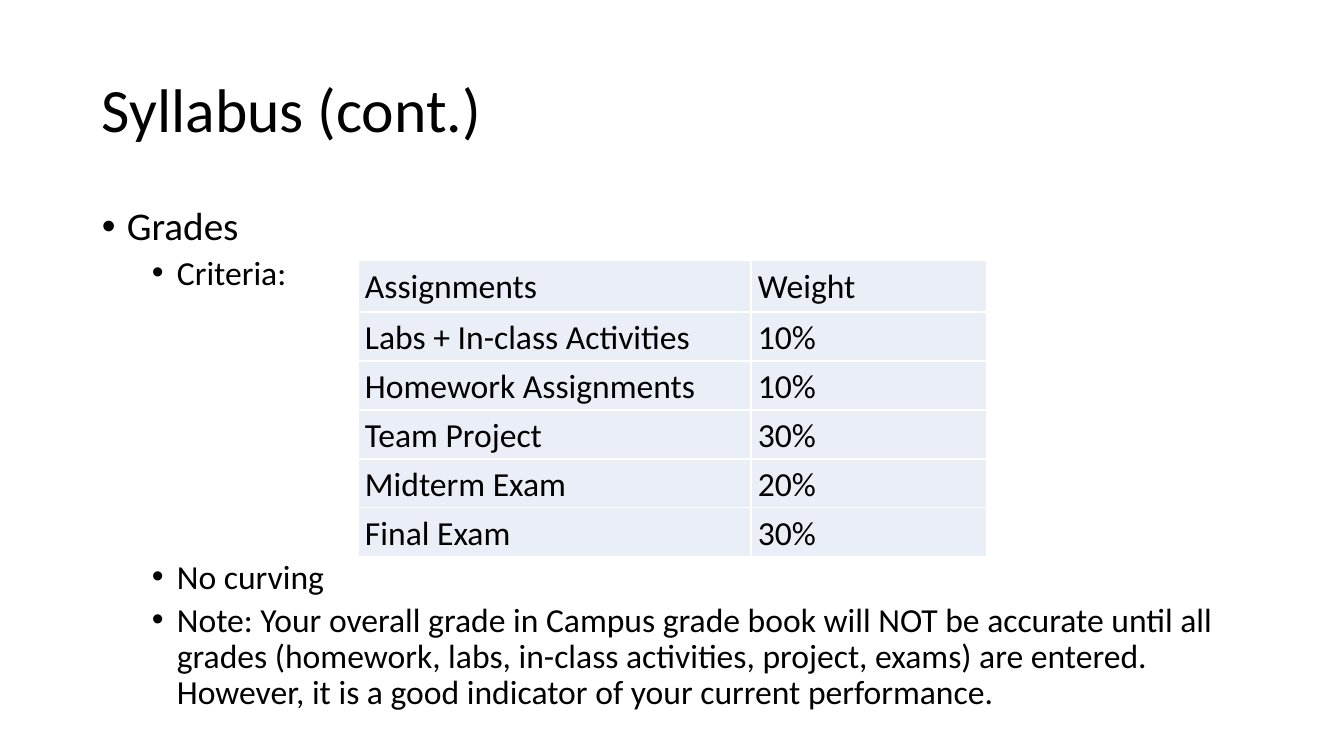
from dataclasses import dataclass

from lxml import etree
from pptx import Presentation
from pptx.dml.color import RGBColor
from pptx.enum.text import MSO_ANCHOR
from pptx.oxml.ns import qn
from pptx.util import Emu, Pt

EMU_PER_PX = 12192000 / 1344
BLACK = RGBColor(0x00, 0x00, 0x00)
WHITE = RGBColor(0xFF, 0xFF, 0xFF)
PALE_BLUE = RGBColor(0xEA, 0xEF, 0xF7)
FONT = "Calibri"
BULLET_FONT = "Arial"
MIDDLE, TOP = MSO_ANCHOR.MIDDLE, MSO_ANCHOR.TOP
BLANK_LAYOUT = 6

MARGIN = 92
CONTENT_WIDTH = 1159
BULLET_HANG = 25
LEVEL_INDENT = 50
COLUMN_WIDTHS = (393, 236)
HEADER_HEIGHT, ROW_HEIGHT = 52, 49
CELL_INSET = 7


@dataclass(frozen=True)
class Bullet:
    text: str
    level: int = 1
    size: int = 24
    space_before: int = 5


BULLETS = (
    Bullet("Grades", level=0, size=28, space_before=0),
    Bullet("Criteria:"),
    Bullet("No curving", space_before=191),  # leaves room for the table
    Bullet(
        "Note: Your overall grade in Campus grade book will NOT be accurate until all "
        "grades (homework, labs, in-class activities, project, exams) are entered. "
        "However, it is a good indicator of your current performance."
    ),
)

GRADE_WEIGHTS = (
    ("Assignments", "Weight"),
    ("Labs + In-class Activities", "10%"),
    ("Homework Assignments", "10%"),
    ("Team Project", "30%"),
    ("Midterm Exam", "20%"),
    ("Final Exam", "30%"),
)


def px(length: int) -> Emu:
    return Emu(round(length * EMU_PER_PX))


def add_bullet(para, level: int) -> None:
    properties = para._p.get_or_add_pPr()
    properties.set("marL", str(px(BULLET_HANG + level * LEVEL_INDENT)))
    properties.set("indent", str(-px(BULLET_HANG)))
    etree.SubElement(properties, qn("a:buFont"), typeface=BULLET_FONT)
    etree.SubElement(properties, qn("a:buChar"), char="•")
    para.level = level


def write(para, text: str, *, size: int, line_spacing: float = 0.9, space_before: int = 0) -> None:
    para.line_spacing = line_spacing
    para.space_before = Pt(space_before)
    span = para.add_run()
    span.text = text
    span.font.name = FONT
    span.font.size = Pt(size)
    span.font.color.rgb = BLACK


def add_frame(page, top: int, height: int, anchor):
    box = page.shapes.add_textbox(px(MARGIN), px(top), px(CONTENT_WIDTH), px(height))
    frame = box.text_frame
    frame.word_wrap = True
    frame.vertical_anchor = anchor
    return frame


def add_borders(cell) -> None:
    properties = cell._tc.get_or_add_tcPr()
    for side in ("lnL", "lnR", "lnT", "lnB"):
        line = etree.SubElement(properties, qn(f"a:{side}"), w=str(Pt(1)))
        fill = etree.SubElement(line, qn("a:solidFill"))
        etree.SubElement(fill, qn("a:srgbClr"), val=str(WHITE))


def format_cell(cell, text: str) -> None:
    add_borders(cell)
    cell.fill.solid()
    cell.fill.fore_color.rgb = PALE_BLUE
    cell.vertical_anchor = MIDDLE
    cell.margin_left = cell.margin_right = px(CELL_INSET)
    cell.margin_top = cell.margin_bottom = 0
    write(cell.text_frame.paragraphs[0], text, size=24, line_spacing=1.07)


def add_grade_table(page, left: int, top: int) -> None:
    heights = [HEADER_HEIGHT] + [ROW_HEIGHT] * (len(GRADE_WEIGHTS) - 1)
    table = page.shapes.add_table(
        len(heights), len(COLUMN_WIDTHS), px(left), px(top),
        px(sum(COLUMN_WIDTHS)), px(sum(heights)),
    ).table
    table.first_row = table.horz_banding = False
    for column, width in zip(table.columns, COLUMN_WIDTHS):
        column.width = px(width)
    for row, height, texts in zip(table.rows, heights, GRADE_WEIGHTS):
        row.height = px(height)
        for cell, text in zip(row.cells, texts):
            format_cell(cell, text)


def main() -> None:
    deck = Presentation()
    deck.slide_width, deck.slide_height = px(1344), px(756)
    page = deck.slides.add_slide(deck.slide_layouts[BLANK_LAYOUT])

    title = add_frame(page, 40, 146, MIDDLE)
    write(title.paragraphs[0], "Syllabus (cont.)", size=44)

    body = add_frame(page, 202, 533, TOP)
    for index, bullet in enumerate(BULLETS):
        para = body.add_paragraph() if index else body.paragraphs[0]
        add_bullet(para, bullet.level)
        write(para, bullet.text, size=bullet.size, space_before=bullet.space_before)

    add_grade_table(page, 358, 260)
    deck.save("out.pptx")


if __name__ == "__main__":
    main()
